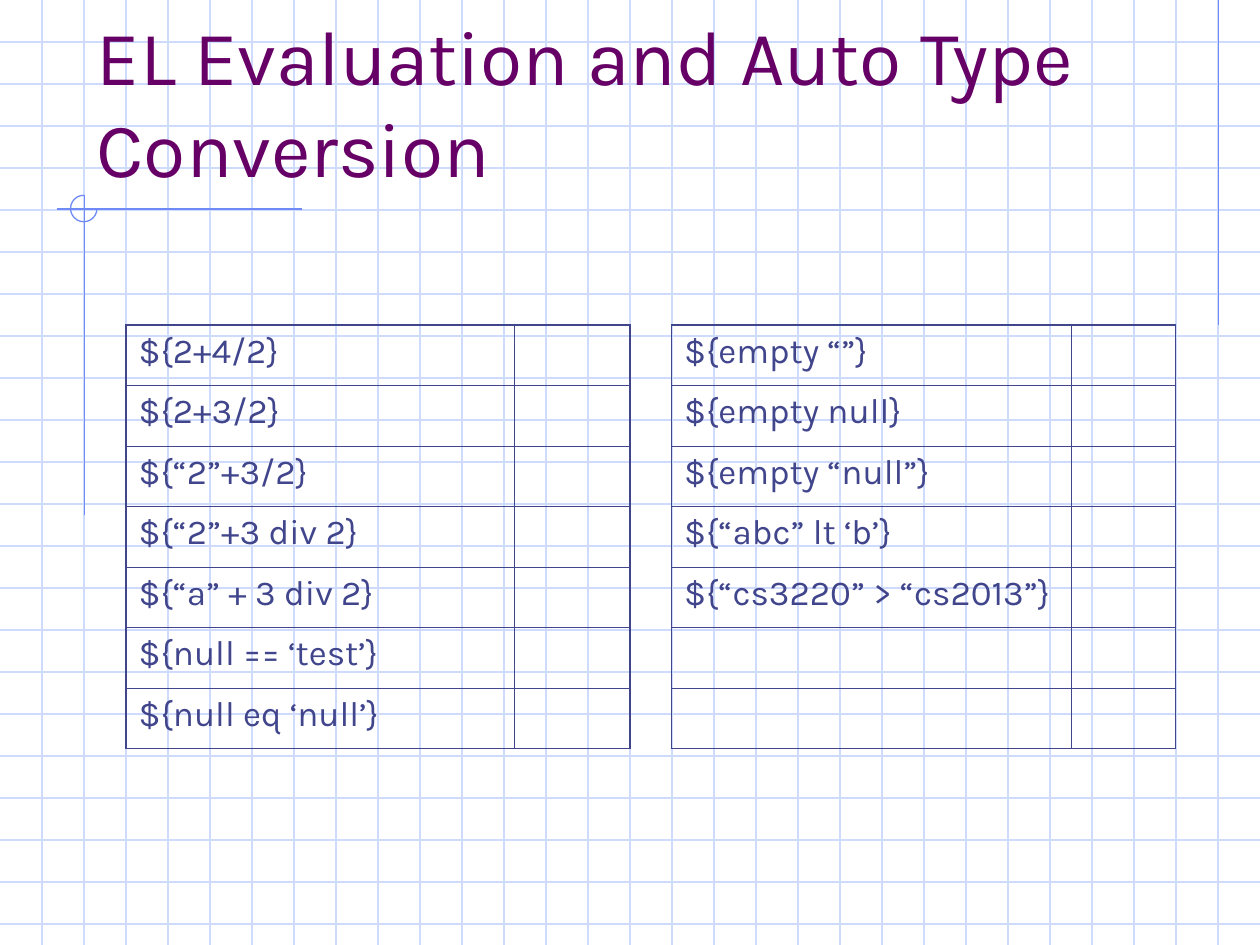
"""Build the slide on EL evaluation and automatic type conversion."""
from lxml import etree
from pptx import Presentation
from pptx.dml.color import RGBColor
from pptx.enum.shapes import MSO_CONNECTOR, MSO_SHAPE
from pptx.enum.text import MSO_ANCHOR
from pptx.oxml.ns import qn
from pptx.util import Inches, Pt

STRAIGHT = MSO_CONNECTOR.STRAIGHT
ARC = MSO_SHAPE.ARC
BOTTOM = MSO_ANCHOR.BOTTOM
GRID_BLUE = RGBColor(0xCF, 0xDB, 0xFD)
ACCENT_BLUE = RGBColor(0x6F, 0x89, 0xF7)
TITLE_PURPLE = RGBColor(0x66, 0x00, 0x66)
TABLE_INDIGO = RGBColor(0x40, 0x45, 0x8C)

TITLE_FONT = {"name": "Karla", "size": Pt(44)}
CELL_FONT = {"name": "Karla", "size": Pt(20)}
OUTER_BORDER, INNER_BORDER = Pt(1.08), Pt(0.45)
ROW_COUNT, ROW_HEIGHT = 7, 0.48

EXPRESSION_TABLES = [
    (1, (3.08, 0.92), ["${2+4/2}", "${2+3/2}", "${“2”+3/2}", "${“2”+3 div 2}",
                       "${“a” + 3 div 2}", "${null == ‘test’}", "${null eq ‘null’}"]),
    (5.33, (3.17, 0.83), ["${empty “”}", "${empty null}", "${empty “null”}",
                          "${“abc” lt ‘b’}", "${“cs3220” > “cs2013”}"]),
]


def draw_line(slide, start, end, color):
    line = slide.shapes.add_connector(STRAIGHT, *map(Inches, start + end))
    line.line.color.rgb = color
    line.line.width = Pt(0.75)
    etree.SubElement(line._element.spPr, qn("a:effectLst"))


def write(paragraph, text, font_format, color):
    run = paragraph.add_run()
    run.text = text
    for attribute, value in font_format.items():
        setattr(run.font, attribute, value)
    run.font.color.rgb = color


prs = Presentation()
prs.slide_width, prs.slide_height = Inches(10), Inches(7.5)
slide = prs.slides.add_slide(prs.slide_layouts[6])

for step in range(1, 23):
    draw_line(slide, (0, step / 3), (10, step / 3), GRID_BLUE)
for step in range(1, 30):
    draw_line(slide, (step / 3, 0), (step / 3, 7.5), GRID_BLUE)

for start, end in [((9.67, 0), (9.67, 2.58)), ((2.4, 1.66), (0.45, 1.66)),
                   ((0.67, 1.55), (0.67, 4.09))]:
    draw_line(slide, start, end, ACCENT_BLUE)

corner_arc = slide.shapes.add_shape(ARC, Inches(0.56), Inches(1.55), Inches(0.21), Inches(0.21))
corner_arc.adjustments[0] = 0
corner_arc.adjustments[1] = 162
corner_arc.shadow.inherit = False
corner_arc.fill.background()
corner_arc.line.color.rgb = ACCENT_BLUE
corner_arc.line.width = Pt(0.75)

title = slide.shapes.add_textbox(Inches(0.67), Inches(0.33), Inches(8.5), Inches(1.25)).text_frame
title.word_wrap = True
title.vertical_anchor = BOTTOM
write(title.paragraphs[0], "EL Evaluation and Auto Type Conversion", TITLE_FONT, TITLE_PURPLE)

for left, column_widths, expressions in EXPRESSION_TABLES:
    table = slide.shapes.add_table(ROW_COUNT, 2, Inches(left), Inches(2.58), Inches(4),
                                   Inches(ROW_COUNT * ROW_HEIGHT)).table
    table.first_row = table.horz_banding = False
    for column, width in zip(table.columns, column_widths):
        column.width = Inches(width)
    for row, expression in enumerate(expressions):
        paragraph = table.cell(row, 0).text_frame.paragraphs[0]
        paragraph.space_before = Pt(5)
        write(paragraph, expression, CELL_FONT, TABLE_INDIGO)
    for row in range(ROW_COUNT):
        table.rows[row].height = Inches(ROW_HEIGHT)
        for col in range(2):
            cell = table.cell(row, col)
            cell.fill.background()
            properties = cell._tc.get_or_add_tcPr()
            outer_sides = {"lnL": col == 0, "lnR": col == 1,
                           "lnT": row == 0, "lnB": row == ROW_COUNT - 1}
            for position, (side, is_outer) in enumerate(outer_sides.items()):
                border = etree.Element(qn(f"a:{side}"))
                border.set("w", str(OUTER_BORDER if is_outer else INNER_BORDER))
                fill = etree.SubElement(border, qn("a:solidFill"))
                etree.SubElement(fill, qn("a:srgbClr")).set("val", str(TABLE_INDIGO))
                properties.insert(position, border)

prs.save("out.pptx")
